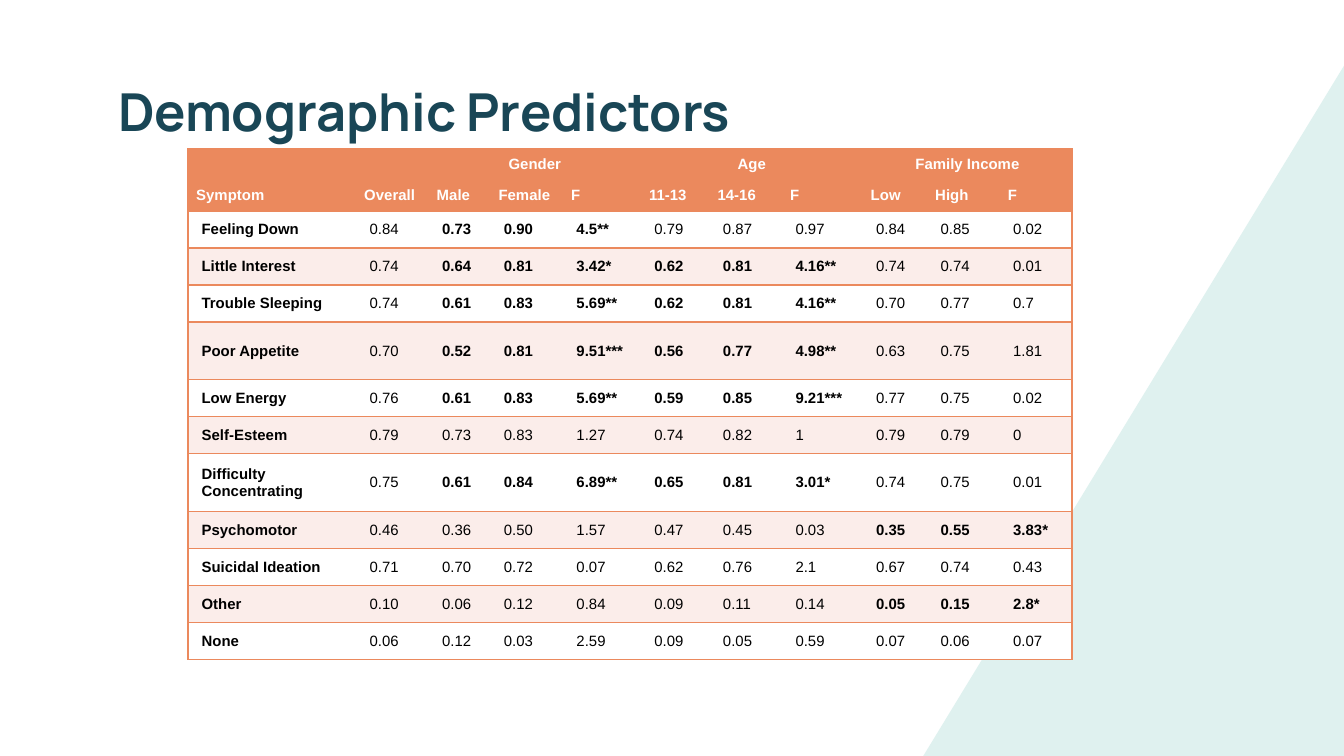
from dataclasses import dataclass

import pptx
import pptx.dml.color
import pptx.enum.shapes
import pptx.enum.text
import pptx.oxml.ns
import pptx.util
from lxml import etree
from pptx.util import Inches

RGBColor = pptx.dml.color.RGBColor
qn = pptx.oxml.ns.qn
ANCHOR = pptx.enum.text.MSO_ANCHOR
ALIGN = pptx.enum.text.PP_ALIGN

ORANGE = RGBColor(0xEB, 0x89, 0x5D)
BLUSH = RGBColor(0xFB, 0xED, 0xEA)
WHITE = RGBColor(0xFF, 0xFF, 0xFF)
BLACK = RGBColor(0, 0, 0)
NAVY = RGBColor(0x19, 0x46, 0x56)
MINT = RGBColor(0xDF, 0xF1, 0xEF)

SLIDE_WIDTH = Inches(10)
SLIDE_HEIGHT = SLIDE_WIDTH * 9 // 16
NO_GRID_STYLE = "{2D5ABB26-0587-4C30-8999-92F81FD0307C}"
TEXT_SIZE = pptx.util.Pt(8)
BORDER_WIDTH = pptx.util.Pt(1)


@dataclass
class CellStyle:
    fill: RGBColor
    color: RGBColor
    side_margin: float
    end_margin: float
    align: ALIGN = ALIGN.LEFT


@dataclass
class Symptom:
    name: str
    scores: str  # overall, then two means and F for each predictor
    tall: bool = False


GROUP_HEAD = CellStyle(ORANGE, WHITE, 0.02, 0.03, ALIGN.CENTER)
COLUMN_HEAD = CellStyle(ORANGE, WHITE, 0.06, 0.03)
BODY_STYLES = [CellStyle(fill, BLACK, 0.1, 0.05) for fill in (WHITE, BLUSH)]

PREDICTORS = ["Gender", "Age", "Family Income"]
COLUMNS = ["Symptom", "Overall", "Male", "Female", "F", "11-13", "14-16", "F",
           "Low", "High", "F"]
COLUMN_WIDTHS = [1.25, 0.54, 0.46, 0.54, 0.58, 0.51, 0.54, 0.6, 0.48, 0.54, 0.54]
FIRST_GROUP, GROUP_SIZE = 2, 3

SYMPTOMS = [
    Symptom("Feeling Down", "0.84 0.73 0.90 4.5** 0.79 0.87 0.97 0.84 0.85 0.02"),
    Symptom("Little Interest", "0.74 0.64 0.81 3.42* 0.62 0.81 4.16** 0.74 0.74 0.01"),
    Symptom("Trouble Sleeping", "0.74 0.61 0.83 5.69** 0.62 0.81 4.16** 0.70 0.77 0.7"),
    Symptom("Poor Appetite", "0.70 0.52 0.81 9.51*** 0.56 0.77 4.98** 0.63 0.75 1.81", True),
    Symptom("Low Energy", "0.76 0.61 0.83 5.69** 0.59 0.85 9.21*** 0.77 0.75 0.02"),
    Symptom("Self-Esteem", "0.79 0.73 0.83 1.27 0.74 0.82 1 0.79 0.79 0"),
    Symptom("Difficulty Concentrating",
            "0.75 0.61 0.84 6.89** 0.65 0.81 3.01* 0.74 0.75 0.01", True),
    Symptom("Psychomotor", "0.46 0.36 0.50 1.57 0.47 0.45 0.03 0.35 0.55 3.83*"),
    Symptom("Suicidal Ideation", "0.71 0.70 0.72 0.07 0.62 0.76 2.1 0.67 0.74 0.43"),
    Symptom("Other", "0.10 0.06 0.12 0.84 0.09 0.11 0.14 0.05 0.15 2.8*"),
    Symptom("None", "0.06 0.12 0.03 2.59 0.09 0.05 0.59 0.07 0.06 0.07"),
]

TABLE_HEIGHT, HEAD_HEIGHT, TALL_HEIGHT = 3.8, 0.23, 0.43
tall_count = sum(symptom.tall for symptom in SYMPTOMS)
BODY_HEIGHT = ((TABLE_HEIGHT - 2 * HEAD_HEIGHT - tall_count * TALL_HEIGHT)
               / (len(SYMPTOMS) - tall_count))


def apply(target: object, values: dict) -> None:
    for name, value in values.items():
        setattr(target, name, value)


def add_borders(cell, sides: str) -> None:
    """Draw an orange line on each of the given sides, in schema order L, R, T, B."""
    properties = cell._tc.get_or_add_tcPr()
    for side in sides:
        line = etree.SubElement(properties, qn(f"a:ln{side}"), w=str(BORDER_WIDTH))
        fill = etree.SubElement(line, qn("a:solidFill"))
        etree.SubElement(fill, qn("a:srgbClr"), val=str(ORANGE))


def write_cell(cell, text: str, style: CellStyle, bold: bool, sides: str) -> None:
    add_borders(cell, sides)
    cell.fill.solid()
    cell.fill.fore_color.rgb = style.fill
    apply(cell, {
        "vertical_anchor": ANCHOR.MIDDLE,
        "margin_left": Inches(style.side_margin),
        "margin_right": Inches(style.side_margin),
        "margin_top": Inches(style.end_margin),
        "margin_bottom": Inches(style.end_margin),
    })
    paragraph = cell.text_frame.paragraphs[0]
    paragraph.alignment = style.align
    if text:
        run = paragraph.add_run()
        run.text = text
        apply(run.font, {"name": "Arial", "size": TEXT_SIZE, "bold": bold})
        run.font.color.rgb = style.color
    else:
        # Keep empty cells from stretching the row
        paragraph._p.get_or_add_endParaRPr().set("sz", str(int(TEXT_SIZE.pt * 100)))


def write_row(table, row: int, texts: list[str], style: CellStyle,
              bolds: list[bool], last_span: int = 1) -> None:
    right_from = len(texts) - last_span
    for column, (text, bold) in enumerate(zip(texts, bolds)):
        sides = ("L" if column == 0 else "") + ("R" if column >= right_from else "") + "TB"
        write_cell(table.cell(row, column), text, style, bold, sides)


def body_bolds(scores: list[str]) -> list[bool]:
    """The name is bold, and so is each predictor whose F is starred."""
    bolds = [True, False]
    for f_index in range(GROUP_SIZE, len(scores), GROUP_SIZE):
        bolds += ["*" in scores[f_index]] * GROUP_SIZE
    return bolds


def add_symptom_table(slide) -> None:
    frame = slide.shapes.add_table(
        len(SYMPTOMS) + 2, len(COLUMNS), Inches(1.4), Inches(1.11),
        Inches(sum(COLUMN_WIDTHS)), Inches(TABLE_HEIGHT))
    table = frame.table
    apply(table, {"first_row": False, "horz_banding": False})
    table._tbl.tblPr.find(qn("a:tableStyleId")).text = NO_GRID_STYLE

    for column, width in zip(table.columns, COLUMN_WIDTHS):
        column.width = Inches(width)
    heights = [HEAD_HEIGHT] * 2
    heights += [TALL_HEIGHT if symptom.tall else BODY_HEIGHT for symptom in SYMPTOMS]
    for row, height in zip(table.rows, heights):
        row.height = Inches(height)

    # Two header rows, the first with a merged cell over each predictor
    all_bold = [True] * len(COLUMNS)
    groups = [""] * len(COLUMNS)
    groups[FIRST_GROUP::GROUP_SIZE] = PREDICTORS
    write_row(table, 0, groups, GROUP_HEAD, all_bold, GROUP_SIZE)
    write_row(table, 1, COLUMNS, COLUMN_HEAD, all_bold)
    table.cell(0, 0).merge(table.cell(0, FIRST_GROUP - 1))
    for start in range(FIRST_GROUP, len(COLUMNS), GROUP_SIZE):
        table.cell(0, start).merge(table.cell(0, start + GROUP_SIZE - 1))

    # One banded row for each symptom
    for index, symptom in enumerate(SYMPTOMS):
        scores = symptom.scores.split()
        write_row(table, index + 2, [symptom.name, *scores],
                  BODY_STYLES[index % 2], body_bolds(scores))


def add_corner(slide) -> None:
    left, top = Inches(6.87), Inches(0.49)
    corner = slide.shapes.add_shape(
        pptx.enum.shapes.MSO_SHAPE.RIGHT_TRIANGLE,
        left, top, SLIDE_WIDTH - left, SLIDE_HEIGHT - top)
    corner.shadow.inherit = False
    corner.fill.solid()
    corner.fill.fore_color.rgb = MINT
    corner.line.fill.background()
    corner._element.spPr.find(qn("a:xfrm")).set("flipH", "1")
    # Send behind the title
    slide.shapes._spTree.insert(2, corner._element)


def set_title(slide) -> None:
    title = slide.shapes.title
    apply(title, {"left": Inches(0.78), "top": Inches(0.49),
                  "width": Inches(8.45), "height": Inches(0.63)})
    title.text_frame.text = "Demographic Predictors"
    margins = {f"margin_{side}": Inches(0.1) for side in ("left", "right", "top", "bottom")}
    apply(title.text_frame, {
        **margins, "word_wrap": True, "vertical_anchor": ANCHOR.TOP,
        "auto_size": pptx.enum.text.MSO_AUTO_SIZE.NONE})
    heading = title.text_frame.paragraphs[0]
    heading.alignment = ALIGN.LEFT
    font = heading.runs[0].font
    apply(font, {"name": "Manrope", "size": pptx.util.Pt(28), "bold": True})
    font.color.rgb = NAVY


def main() -> None:
    deck = pptx.Presentation()
    apply(deck, {"slide_width": SLIDE_WIDTH, "slide_height": SLIDE_HEIGHT})
    slide = deck.slides.add_slide(deck.slide_layouts[5])
    set_title(slide)
    add_corner(slide)
    add_symptom_table(slide)
    deck.save("out.pptx")


if __name__ == "__main__":
    main()
